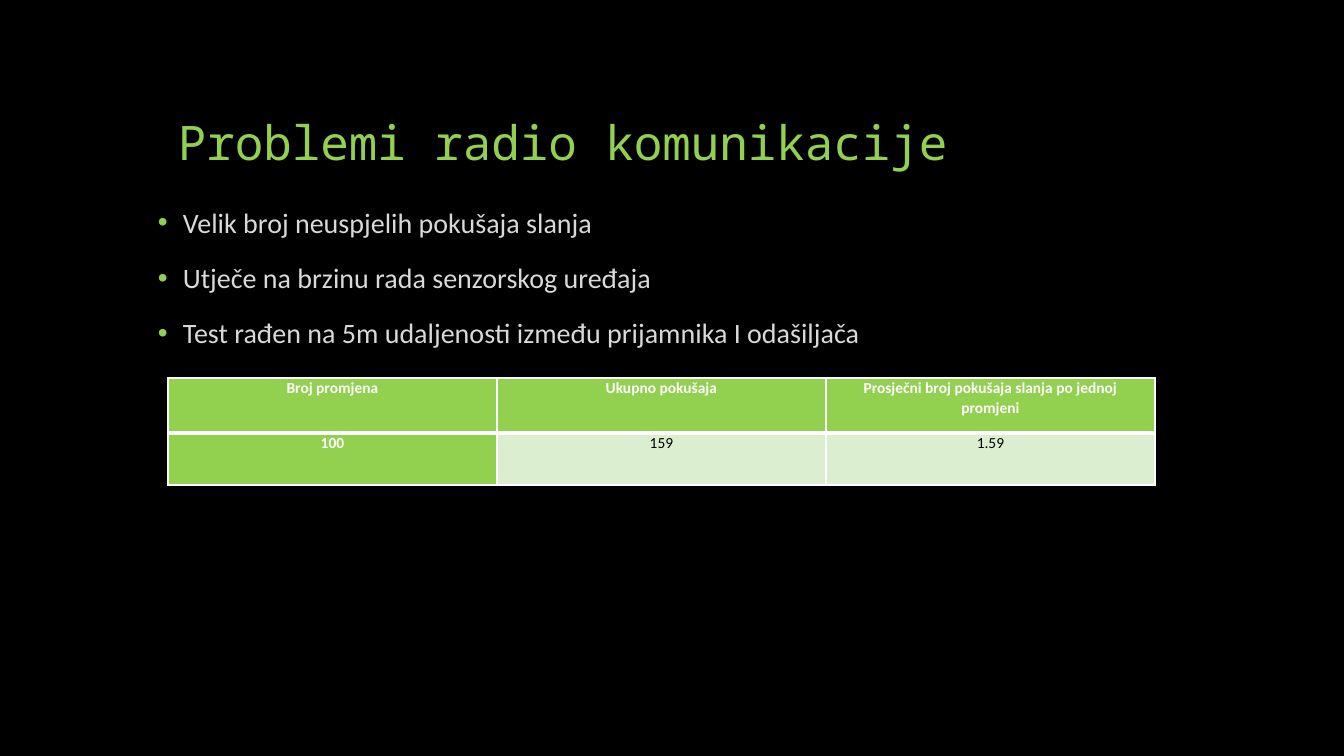
from lxml.etree import SubElement as Sub
from pptx import Presentation
from pptx.dml.color import RGBColor as RGB
from pptx.enum.text import MSO_ANCHOR as Anchor, PP_ALIGN as Align
from pptx.oxml.ns import qn
from pptx.util import Emu, Pt

SCALE = 914400 / 100.8
HUES = {
    "back": "000000",
    "green": "92D050",
    "pale": "DCEED0",
    "grey": "D9D9D9",
    "white": "FFFFFF",
    "black": "000000",
}


def px(num):
    return Emu(round(num * SCALE))


def hue(name):
    return RGB.from_string(HUES[name])


class Deck:
    mono = "Noto Sans Mono"
    sans = "Calibri"

    def __init__(self, wide, high):
        self.show = Presentation()
        self.show.slide_width = px(wide)
        self.show.slide_height = px(high)
        self.slide = self.show.slides.add_slide(self.show.slide_layouts[6])
        fill = self.slide.background.fill
        fill.solid()
        fill.fore_color.rgb = hue("back")

    def style(self, para, size, face, tint, bold=False, space=0.9):
        para.line_spacing = space
        for run in para.runs:
            font = run.font
            font.size = Pt(size)
            font.name = face
            font.bold = bold
            font.color.rgb = hue(tint)

    def frame(self, box, text):
        frame = self.slide.shapes.add_textbox(*map(px, box)).text_frame
        frame.word_wrap = True
        frame.text = text
        return frame

    def title(self, box, text):
        frame = self.frame(box, text)
        frame.vertical_anchor = Anchor.BOTTOM
        self.style(frame.paragraphs[0], 34, self.mono, "green")

    def list(self, box, items):
        for para in self.frame(box, "\n".join(items)).paragraphs:
            self.style(para, 20, self.sans, "grey")
            para.space_before = Pt(18)
            self.bullet(para)

    def bullet(self, para):
        props = para._p.get_or_add_pPr()
        props.set("marL", str(px(25)))
        props.set("indent", str(-px(25)))
        tint = Sub(props, qn("a:buClr"))
        Sub(tint, qn("a:srgbClr"), val=HUES["green"])
        Sub(props, qn("a:buFont"), typeface="Arial")
        Sub(props, qn("a:buChar"), char="•")

    def border(self, cell, thick):
        props = cell._tc.get_or_add_tcPr()
        for side in "LRTB":
            width = 3 if side == thick else 1
            line = Sub(props, qn(f"a:ln{side}"), w=str(Pt(width)))
            fill = Sub(line, qn("a:solidFill"))
            Sub(fill, qn("a:srgbClr"), val=HUES["white"])

    def cell(self, cell, text, head, thick):
        cell.margin_left = cell.margin_right = px(7)
        cell.margin_top = cell.margin_bottom = 0
        self.border(cell, thick)
        cell.fill.solid()
        cell.fill.fore_color.rgb = hue("green" if head else "pale")
        cell.text = text
        para = cell.text_frame.paragraphs[0]
        para.alignment = Align.CENTER
        self.style(para, 11, self.sans, "white" if head else "black", head, 1.05)

    def table(self, left, top, wide, highs, rows):
        cols = len(rows[0])
        box = map(px, (left, top, wide * cols, sum(highs)))
        table = self.slide.shapes.add_table(len(rows), cols, *box).table
        for col in table.columns:
            col.width = px(wide)
        for r, (high, row) in enumerate(zip(highs, rows)):
            table.rows[r].height = px(high)
            for c, text in enumerate(row):
                head = r == 0 or c == 0
                self.cell(table.cell(r, c), text, head, "T" if r else "B")


def main():
    deck = Deck(1344, 756)
    deck.title((168, 50, 1008, 126), "Problemi radio komunikacije")
    deck.list((148, 204, 1008, 471), [
        "Velik broj neuspjelih pokušaja slanja",
        "Utječe na brzinu rada senzorskog uređaja",
        "Test rađen na 5m udaljenosti između prijamnika I odašiljača",
    ])
    deck.table(168, 378, 329, (55, 52), [
        ("Broj promjena", "Ukupno pokušaja",
         "Prosječni broj pokušaja slanja po jednoj promjeni"),
        ("100", "159", "1.59"),
    ])
    deck.show.save("out.pptx")


if __name__ == "__main__":
    main()
